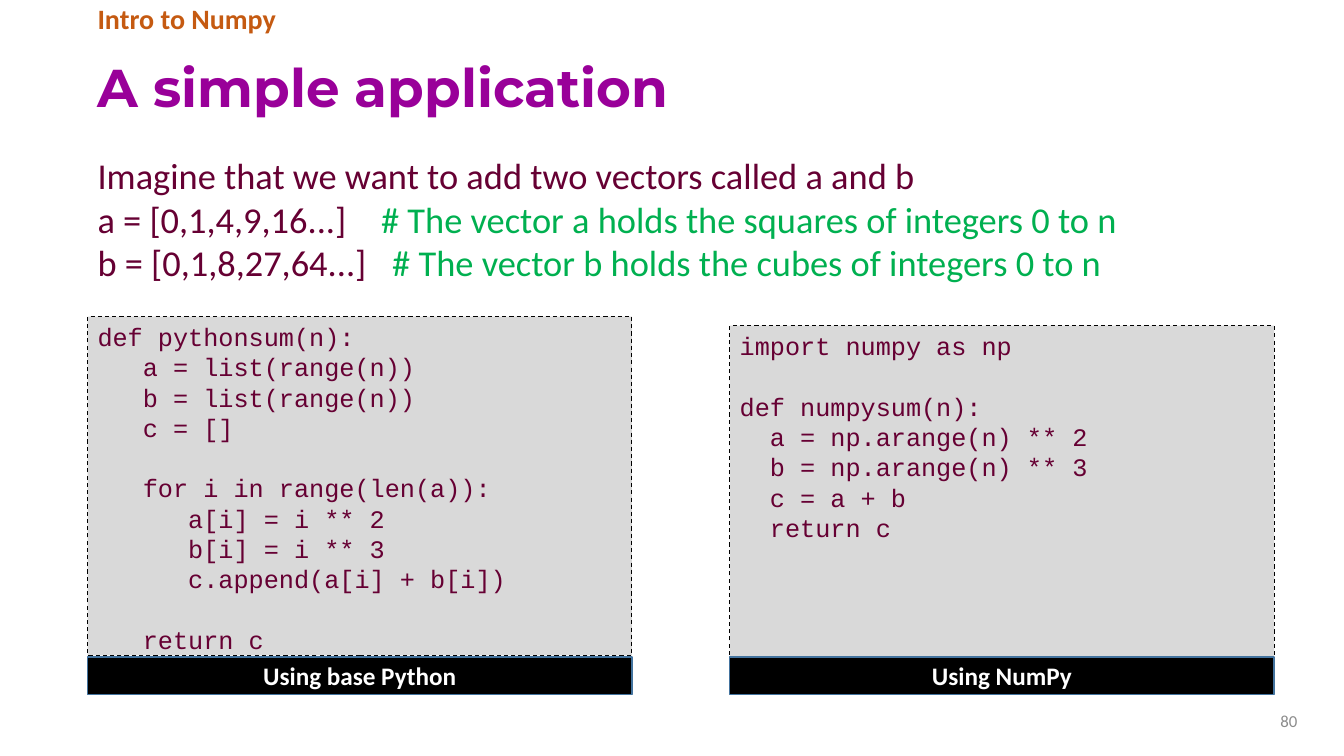
from lxml import etree
from pptx import Presentation, util as u
from pptx.dml.color import RGBColor
from pptx.enum import dml, shapes, text
from pptx.oxml.ns import qn

Pt = u.Pt
HUES = {"title": "990099", "tag": "C55A11", "body": "660033", "note": "00B050",
        "code": "D9D9D9", "edge": "000000", "bar": "000000", "rim": "43739E",
        "label": "FFFFFF", "page": "8C8C8C"}
LEFT, WIDE = 62.6, 870.5
LINE = 21.6

BASE = """def pythonsum(n):
   a = list(range(n))
   b = list(range(n))
   c = []

   for i in range(len(a)):
      a[i] = i ** 2
      b[i] = i ** 3
      c.append(a[i] + b[i])

   return c"""
NUMPY = """import numpy as np

def numpysum(n):
  a = np.arange(n) ** 2
  b = np.arange(n) ** 3
  c = a + b
  return c"""
INTRO = "Imagine that we want to add two vectors called a and b"
VECTORS = [
    ("a = [0,1,4,9,16...]", "# The vector a holds the squares of integers 0 to n", 202.5),
    ("b = [0,1,8,27,64...]", "# The vector b holds the cubes of integers 0 to n", 210.5)]


def hue(name):
    """Return the named colour."""
    return RGBColor.from_string(HUES[name])


def style(para, size, color, face="Calibri", bold=False):
    """Set the font of a paragraph."""
    font = para.font
    font.size, font.name, font.bold = Pt(size), face, bold
    font.color.rgb = hue(color)


def frame(slide, box, anchor=text.MSO_ANCHOR.TOP):
    """Add a wrapping text box and return its text frame."""
    body = slide.shapes.add_textbox(*map(Pt, box)).text_frame
    body.word_wrap = True
    body.vertical_anchor = anchor
    return body


def block(slide, box, fill, line, width):
    """Add a filled, outlined rectangle."""
    rect = slide.shapes.add_shape(shapes.MSO_SHAPE.RECTANGLE, *map(Pt, box))
    rect.shadow.inherit = False
    rect.fill.solid()
    rect.fill.fore_color.rgb = hue(fill)
    rect.line.color.rgb = hue(line)
    rect.line.width = Pt(width)
    rect.text_frame.word_wrap = True
    return rect


def header(slide, box):
    """Place the section tag and the title below it."""
    x, y, w, h = box
    tag = frame(slide, (x, y, w, 29.5)).paragraphs[0]
    tag.text = "Intro to Numpy"
    tag.line_spacing = 0.9
    style(tag, 20, "tag", bold=True)
    title = frame(slide, (x, y + 29.5, w, h - 29.5), text.MSO_ANCHOR.MIDDLE).paragraphs[0]
    title.text = "A simple application"
    title.line_spacing = 0.9
    style(title, 38, "title", "Montserrat", True)


def intro(slide, box):
    """Place the task and the two vectors with their comments."""
    body = frame(slide, box)
    first = body.paragraphs[0]
    first.text = INTRO
    style(first, 26, "body")
    for value, note, stop in VECTORS:
        para = body.add_paragraph()
        tabs = etree.SubElement(para._p.get_or_add_pPr(), qn("a:tabLst"))
        etree.SubElement(tabs, qn("a:tab"), pos=str(Pt(stop)), algn="l")
        style(para, 26, "body")
        para.add_run().text = value + "\t"
        run = para.add_run()
        run.text = note
        run.font.color.rgb = hue("note")


def panel(slide, box, code, label):
    """Place a code box with a caption bar over its lower end."""
    x, y, w, h = box
    rect = block(slide, box, "code", "edge", 0.75)
    rect.line.dash_style = dml.MSO_LINE.DASH
    body = rect.text_frame
    body.vertical_anchor = text.MSO_ANCHOR.TOP
    para, gap = body.paragraphs[0], 0
    for row, line in enumerate(code.split("\n")):
        if not line:
            gap += LINE
            continue
        if row:
            para = body.add_paragraph()
        para.text = line
        para.alignment = text.PP_ALIGN.LEFT
        if gap:
            para.space_before = Pt(gap)
        style(para, 18, "body", "Courier New")
        gap = 0
    bar = block(slide, (x, 469.4, w, 26.6), "bar", "rim", 1).text_frame
    bar.vertical_anchor = text.MSO_ANCHOR.MIDDLE
    name = bar.paragraphs[0]
    name.text = label
    name.alignment = text.PP_ALIGN.CENTER
    style(name, 18, "label", bold=True)


def footer(slide, box):
    """Place the page number."""
    para = frame(slide, box, text.MSO_ANCHOR.MIDDLE).paragraphs[0]
    para.text = "80"
    para.alignment = text.PP_ALIGN.RIGHT
    style(para, 12, "page")


def main():
    """Build and save the slide."""
    deck = Presentation()
    deck.slide_width, deck.slide_height = Pt(960), Pt(540)
    slide = deck.slides.add_slide(deck.slide_layouts[6])
    header(slide, (LEFT, 0, WIDE, 99.4))
    intro(slide, (LEFT, 105.8, WIDE, 165.6))
    panel(slide, (LEFT, 226.1, 388.8, 242), BASE, "Using base Python")
    panel(slide, (521.3, 232.6, 388.8, 242), NUMPY, "Using NumPy")
    footer(slide, (698.4, 500.4, 235.4, 28.8))
    deck.save("out.pptx")


if __name__ == "__main__":
    main()
